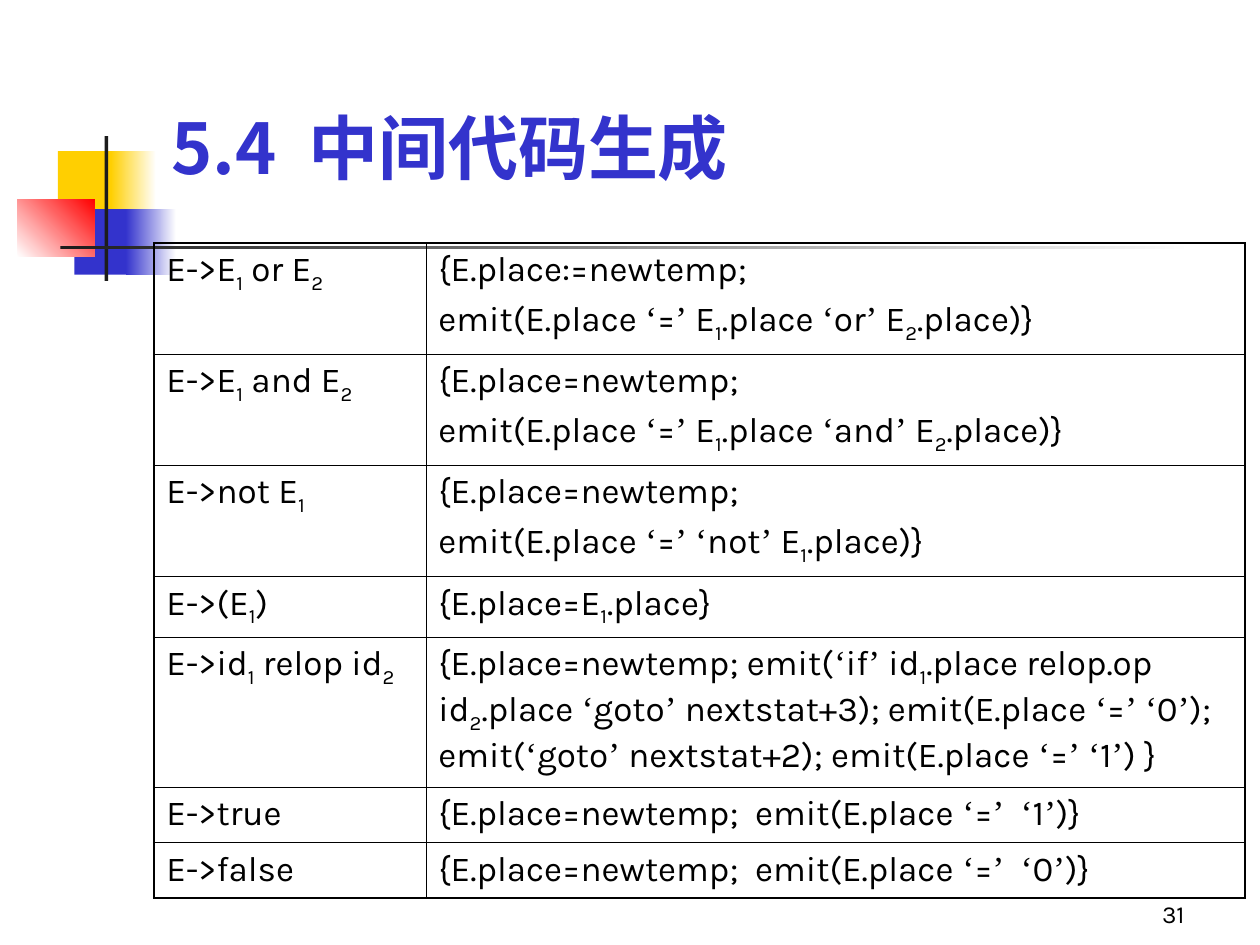
from itertools import groupby

from lxml.etree import SubElement
from pptx import Presentation
from pptx.dml.color import RGBColor
from pptx.enum.shapes import MSO_SHAPE as Shape
from pptx.enum.text import MSO_ANCHOR as Anchor, PP_ALIGN as Align
from pptx.oxml import parse_xml
from pptx.oxml.ns import nsdecls, qn
from pptx.util import Inches, Pt

BLACK = RGBColor(0x00, 0x00, 0x00)
WHITE = RGBColor(0xFF, 0xFF, 0xFF)
YELLOW = RGBColor(0xFF, 0xCF, 0x01)
BLUE = RGBColor(0x33, 0x33, 0xCC)
RED = RGBColor(0xFF, 0x00, 0x00)
CHARCOAL = RGBColor(0x1C, 0x1C, 0x1C)

COLUMNS, ROWS = 100, 75
SUBSCRIPTS = {"₁": "1", "₂": "2"}
QUOTES = "‘’"

DECORATION = [
    ((4.6, 12, 4.8, 5.2), (YELLOW,), 0),
    ((8.8, 12, 3.6, 5.2), (YELLOW, WHITE), 0),
    ((5.9, 16.6, 4.6, 5.2), (BLUE,), 0),
    ((10, 16.6, 4, 5.2), (BLUE, WHITE), 0),
    ((1.4, 15.8, 6.1, 4.6), (WHITE, RED), 45),
    ((8.3, 10.8, 0.3, 11.5), (CHARCOAL,), 0),
    ((4.8, 19.5, 90, 0.3), (CHARCOAL, WHITE), 0),
]

RULE_WIDTHS = [21.6, 65]
RULE_HEIGHTS = [8.8, 8.8, 8.8, 4.8, 11.9, 4.4, 4.4]
RULES = [
    ("E->E₁ or E₂", "{E.place:=newtemp;\nemit(E.place ‘=’ E₁.place ‘or’ E₂.place)}"),
    ("E->E₁ and E₂", "{E.place=newtemp;\nemit(E.place ‘=’ E₁.place ‘and’ E₂.place)}"),
    ("E->not E₁", "{E.place=newtemp;\nemit(E.place ‘=’ ‘not’ E₁.place)}"),
    ("E->(E₁)", "{E.place=E₁.place}"),
    ("E->id₁ relop id₂",
     "{E.place=newtemp; emit(‘if’ id₁.place relop.op id₂.place ‘goto’ nextstat+3); "
     "emit(E.place ‘=’ ‘0’); emit(‘goto’ nextstat+2); emit(E.place ‘=’ ‘1’) }"),
    ("E->true", "{E.place=newtemp;  emit(E.place ‘=’  ‘1’)}"),
    ("E->false", "{E.place=newtemp;  emit(E.place ‘=’  ‘0’)}"),
]


class Deck:
    """Holds the style and the current slide, and adds each kind of element to it."""

    body_font = "Karla"
    quote_font = "Times New Roman"
    title_font = "Noto Sans CJK SC"
    outer_line, inner_line = Pt(1.08), Pt(0.45)

    def __init__(self):
        self.prs = Presentation()
        self.prs.slide_width, self.prs.slide_height = Inches(10), Inches(7.5)
        self.s = self.prs.slides.add_slide(self.prs.slide_layouts[5])

    def x(self, columns):
        return round(self.prs.slide_width * columns / COLUMNS)

    def y(self, rows):
        return round(self.prs.slide_height * rows / ROWS)

    def box(self, left, top, width, height):
        return self.x(left), self.y(top), self.x(width), self.y(height)

    def style(self, p, name, size, color, bold=False):
        p.font.name, p.font.size, p.font.bold = name, Pt(size), bold
        p.font.color.rgb = color

    def block(self, area, colors, angle):
        sp = self.s.shapes.add_shape(Shape.RECTANGLE, *self.box(*area))
        sp.shadow.inherit = False
        sp.line.fill.background()
        if len(colors) == 1:
            sp.fill.solid()
            sp.fill.fore_color.rgb = colors[0]
        else:
            sp.fill.gradient()
            sp.fill.gradient_angle = angle
            for stop, color in zip(sp.fill.gradient_stops, colors):
                stop.color.rgb = color

    def title(self, area, text):
        sp = self.s.shapes.title
        sp.left, sp.top, sp.width, sp.height = self.box(*area)
        tf = sp.text_frame
        tf.text, tf.vertical_anchor, tf.word_wrap = text, Anchor.BOTTOM, True
        p = tf.paragraphs[0]
        p.alignment = Align.LEFT
        self.style(p, self.title_font, 40, BLUE, True)
        SubElement(p._p.pPr.find(qn("a:defRPr")), qn("a:ea"), typeface=self.title_font)

    def page_number(self, area, text):
        tf = self.s.shapes.add_textbox(*self.box(*area)).text_frame
        tf.text, tf.vertical_anchor, tf.word_wrap = text, Anchor.BOTTOM, True
        p = tf.paragraphs[0]
        p.alignment = Align.RIGHT
        self.style(p, self.body_font, 14, BLACK)

    def code(self, p, text):
        self.style(p, self.body_font, 20, BLACK)
        for (sub, quote), group in groupby(text, lambda c: (c in SUBSCRIPTS, c in QUOTES)):
            r = p.add_run()
            r.text = "".join(SUBSCRIPTS.get(c, c) for c in group)
            if quote:
                r.font.name = self.quote_font
            if sub:
                r._r.get_or_add_rPr().set("baseline", "-25000")

    def borders(self, cell, outer):
        tcPr = cell._tc.get_or_add_tcPr()
        for i, (side, is_outer) in enumerate(zip("LRTB", outer)):
            width = self.outer_line if is_outer else self.inner_line
            tcPr.insert(i, parse_xml(
                f'<a:ln{side} {nsdecls("a")} w="{width}"><a:solidFill>'
                f'<a:srgbClr val="{BLACK}"/></a:solidFill></a:ln{side}>'))

    def table(self, left, top, widths, heights, rows):
        area = self.box(left, top, sum(widths), sum(heights))
        table = self.s.shapes.add_table(len(rows), len(widths), *area).table
        table.first_row = table.horz_banding = False
        for column, width in zip(table.columns, widths):
            column.width = self.x(width)
        for i, (row, height) in enumerate(zip(rows, heights)):
            table.rows[i].height = self.y(height)
            for j, text in enumerate(row):
                cell = table.cell(i, j)
                cell.fill.background()
                self.borders(cell, (j == 0, j == len(widths) - 1, i == 0, i == len(rows) - 1))
                tf = cell.text_frame
                for n, line in enumerate(text.split("\n")):
                    p = tf.add_paragraph() if n else tf.paragraphs[0]
                    if n:
                        p.space_before = Pt(5)
                    self.code(p, line)


def main():
    deck = Deck()
    for area, colors, angle in DECORATION:
        deck.block(area, colors, angle)
    deck.page_number((74.2, 69.2, 20.8, 5), "31")
    deck.title((12.6, 6.8, 85.2, 8.7), "5.4  中间代码生成")
    deck.table(12.2, 19.3, RULE_WIDTHS, RULE_HEIGHTS, RULES)
    deck.prs.save("out.pptx")


if __name__ == "__main__":
    main()
